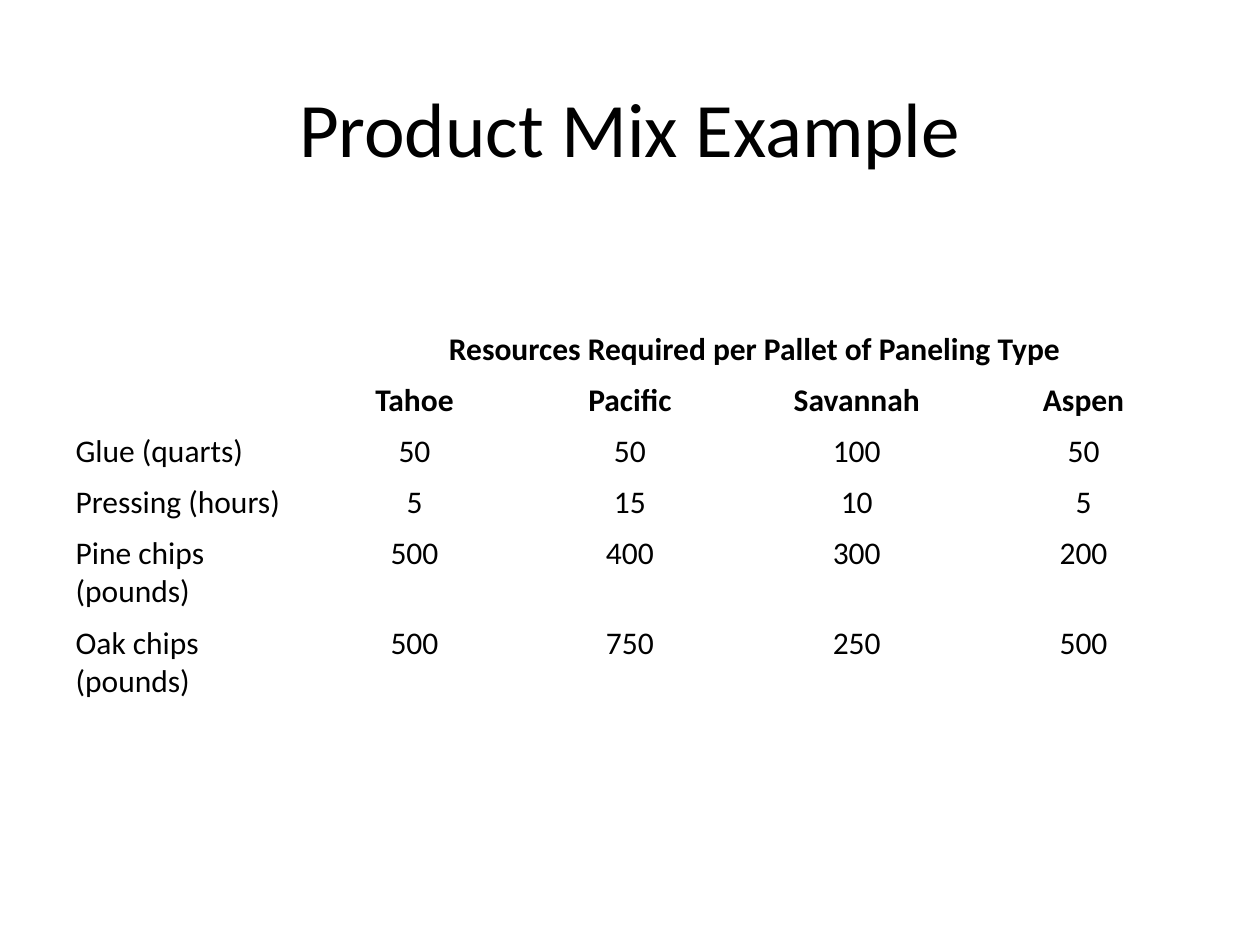
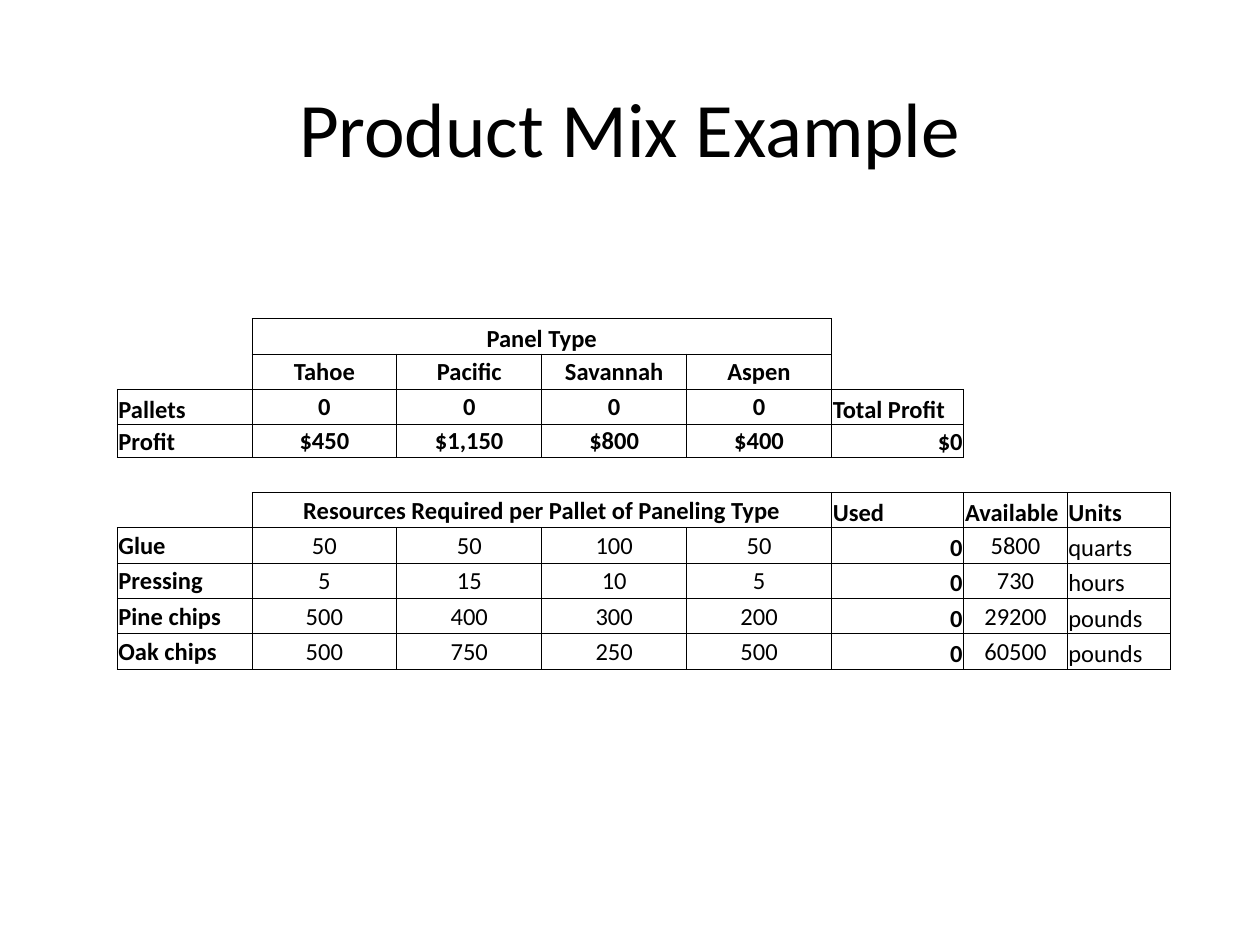
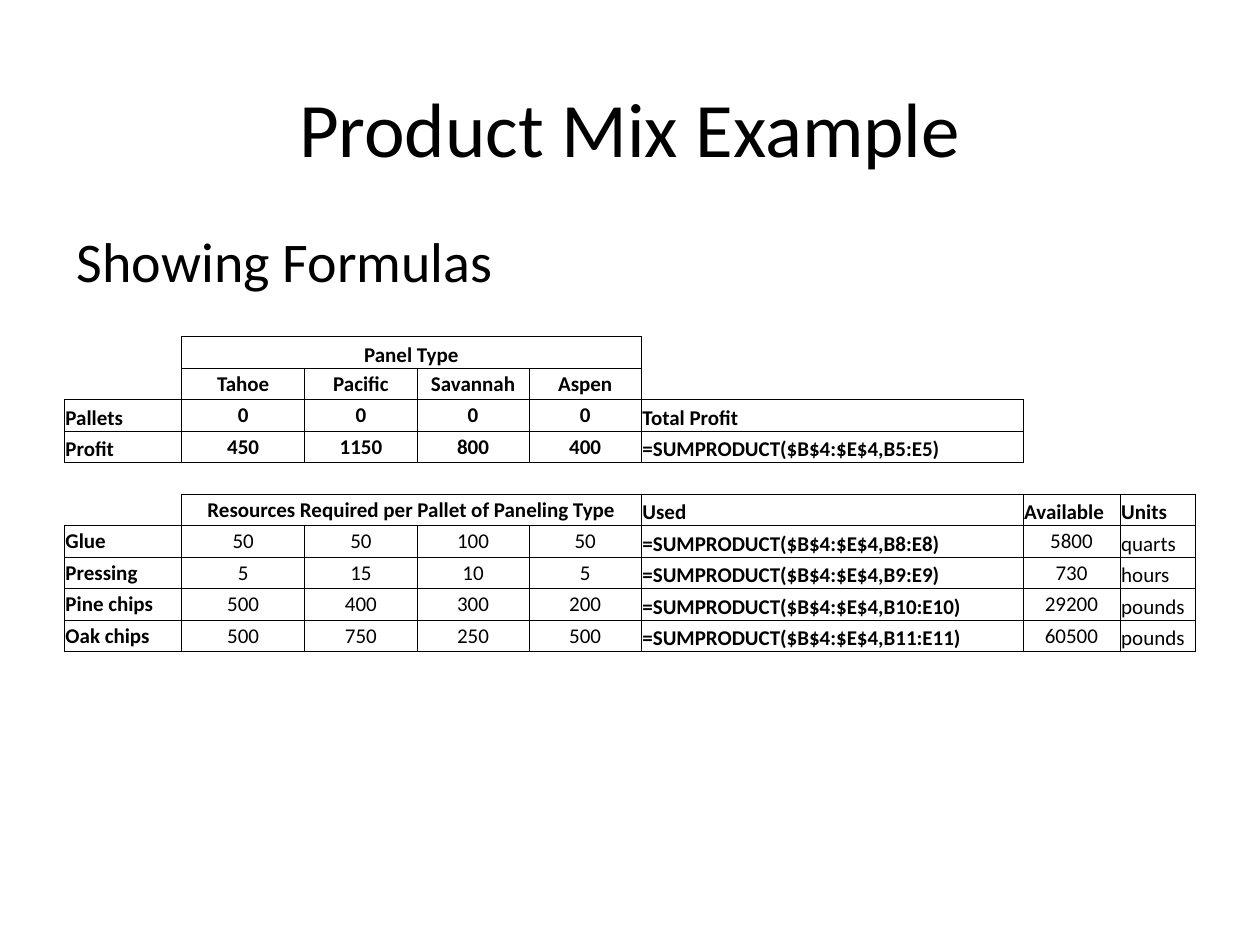
import pptx
import pptx.dml.color
import pptx.enum.text
import pptx.oxml
import pptx.oxml.ns
import pptx.util
from lxml import etree

Inches = pptx.util.Inches
Pt = pptx.util.Pt
qn = pptx.oxml.ns.qn
ALIGN = pptx.enum.text.PP_ALIGN
ANCHOR = pptx.enum.text.MSO_ANCHOR

TITLE_ONLY, TITLE_AND_BODY = 5, 1
NO_STYLE_NO_GRID = "{2D5ABB26-0587-4C30-8999-92F81FD0307C}"

PANELS = ["Tahoe", "Pacific", "Savannah", "Aspen"]
RESOURCES_HEADING = "Resources Required per Pallet of Paneling Type"
RESOURCES = [
    ("Glue", "quarts", [50, 50, 100, 50], 5800),
    ("Pressing", "hours", [5, 15, 10, 5], 730),
    ("Pine chips", "pounds", [500, 400, 300, 200], 29200),
    ("Oak chips", "pounds", [500, 750, 250, 500], 60500),
]
RESOURCES_ROW = 5  # worksheet row that heads the resources block


def rgb(hex_string):
    return pptx.dml.color.RGBColor.from_string(hex_string)


def resource_format(row, col, text):
    """Alignment, anchor and weight of a cell in the plain resource table."""
    return ALIGN.CENTER if col else ALIGN.LEFT, ANCHOR.TOP, row < 2


def worksheet_format(row, col, text):
    """Alignment, anchor and weight of a cell in the worksheet tables."""
    in_resources = row > RESOURCES_ROW
    if col == 0:
        return ALIGN.LEFT, ANCHOR.MIDDLE if in_resources else ANCHOR.BOTTOM, True
    if col <= len(PANELS):
        return ALIGN.CENTER, ANCHOR.MIDDLE if row else ANCHOR.BOTTOM, not in_resources
    if col == 5:
        return ALIGN.RIGHT if text in ("0", "$0") else ALIGN.LEFT, ANCHOR.BOTTOM, True
    if col == 6 and in_resources:
        return ALIGN.CENTER, ANCHOR.MIDDLE, False
    return ALIGN.LEFT, ANCHOR.BOTTOM, not in_resources


def worksheet_rows(profits, total, used):
    """Cell texts of the worksheet; None is an empty cell without borders."""
    merged = [""] * (len(PANELS) - 1)
    rows = [
        [None, "Panel Type", *merged, None, None, None],
        [None, *PANELS, None, None, None],
        ["Pallets", *["0"] * len(PANELS), "Total Profit", None, None],
        ["Profit", *profits, total, None, None],
        [None] * 8,
        [None, RESOURCES_HEADING, *merged, "Used", "Available", "Units"],
    ]
    for (name, unit, amounts, available), use in zip(RESOURCES, used):
        rows.append([name, *map(str, amounts), use, str(available), unit])
    return rows


class Deck:
    font = "Calibri"
    ink = "000000"
    border_width = Pt(0.5)

    def __init__(self):
        self.prs = pptx.Presentation()
        self.prs.slide_width, self.prs.slide_height = Inches(10), Inches(7.5)
        self.slide = None

    def add_text(self, paragraph, text, size, bold=False):
        run = paragraph.add_run()
        run.text = text
        run.font.name, run.font.size, run.font.bold = self.font, Pt(size), bold
        run.font.color.rgb = rgb(self.ink)

    def place(self, placeholder, left, top, width, height):
        placeholder.left, placeholder.top = Inches(left), Inches(top)
        placeholder.width, placeholder.height = Inches(width), Inches(height)

    def add_slide(self, title, layout=TITLE_ONLY):
        self.slide = self.prs.slides.add_slide(self.prs.slide_layouts[layout])
        heading = self.slide.shapes.title
        self.place(heading, 0.5, 0.38, 9, 1.25)
        heading.text_frame.vertical_anchor = ANCHOR.MIDDLE
        paragraph = heading.text_frame.paragraphs[0]
        paragraph.alignment = ALIGN.CENTER
        self.add_text(paragraph, title, 44)

    def body(self, text):
        """Fill the body placeholder with one line that has no bullet."""
        body = self.slide.placeholders[1]
        self.place(body, 0.51, 1.75, 9, 4.95)
        paragraph = body.text_frame.paragraphs[0]
        properties = paragraph._p.get_or_add_pPr()
        properties.set("marL", "0")
        properties.set("indent", "0")
        etree.SubElement(properties, qn("a:buNone"))
        self.add_text(paragraph, text, 32)

    def border(self, cell):
        properties = cell._tc.get_or_add_tcPr()
        for position, side in enumerate(("lnL", "lnR", "lnT", "lnB")):
            line = etree.Element(qn("a:" + side), w=str(int(self.border_width)))
            fill = etree.SubElement(line, qn("a:solidFill"))
            etree.SubElement(fill, qn("a:srgbClr"), val=self.ink)
            properties.insert(position, line)

    def fill_cell(self, cell, text, size, cell_format, inset):
        align, anchor, bold = cell_format
        cell.fill.background()
        cell.vertical_anchor = anchor
        if inset is not None:
            cell.margin_left = cell.margin_right = cell.margin_top = Inches(inset)
            cell.margin_bottom = 0
        paragraph = cell.text_frame.paragraphs[0]
        paragraph.alignment = align
        if text:
            self.add_text(paragraph, text, size, bold)
        else:
            etree.SubElement(paragraph._p, qn("a:endParaRPr"), sz=str(size * 100))

    def table(self, left, top, widths, heights, rows, size, format_rule,
              heading_rows, inset=None, bordered=False):
        """Add a table; each heading row has one cell merged over the panels."""
        table = self.slide.shapes.add_table(
            len(rows), len(widths), Inches(left), Inches(top),
            Inches(sum(widths)), Inches(sum(heights))).table
        table.first_row = table.horz_banding = False
        table._tbl.tblPr.find(qn("a:tableStyleId")).text = NO_STYLE_NO_GRID
        for column, width in zip(table.columns, widths):
            column.width = Inches(width)
        for row, height in zip(table.rows, heights):
            row.height = Inches(height)
        for r, texts in enumerate(rows):
            for c, text in enumerate(texts):
                cell = table.cell(r, c)
                self.fill_cell(cell, text, size, format_rule(r, c, text), inset)
                if bordered and text is not None:
                    self.border(cell)
        for r in heading_rows:
            table.cell(r, 1).merge(table.cell(r, len(PANELS)))

    def worksheet(self, left, top, widths, heights, rows, size):
        self.table(left, top, widths, heights, rows, size, worksheet_format,
                   (0, RESOURCES_ROW), inset=0.01, bordered=True)


def main():
    deck = Deck()
    title = "Product Mix Example"

    deck.add_slide(title)
    rows = [[None, RESOURCES_HEADING, "", "", ""], [None, *PANELS]]
    for name, unit, amounts, _ in RESOURCES:
        rows.append([f"{name} ({unit})", *map(str, amounts)])
    deck.table(0.5, 2.57, [1.98, 1.62] + [1.8] * 3, [0.4] * 4 + [0.7] * 2,
               rows, 18, resource_format, (0,))

    deck.add_slide(title)
    deck.worksheet(
        0.93, 2.53, [1.07] + [1.15] * 4 + [1.05, 0.82, 0.82],
        [0.28] * 3 + [0.26] + [0.28] * 6,
        worksheet_rows(["$450", "$1,150", "$800", "$400"], "$0", ["0"] * 4), 14)

    deck.add_slide(title, TITLE_AND_BODY)
    deck.body("Showing Formulas")
    total, *used = [f"=SUMPRODUCT($B$4:$E$4,B{n}:E{n})" for n in (5, 8, 9, 10, 11)]
    deck.worksheet(
        0.51, 2.67, [0.93, 0.98] + [0.89] * 3 + [3.03, 0.77, 0.6], [0.25] * 10,
        worksheet_rows(["450", "1150", "800", "400"], total, used), 12)

    deck.prs.save("out.pptx")


if __name__ == "__main__":
    main()
